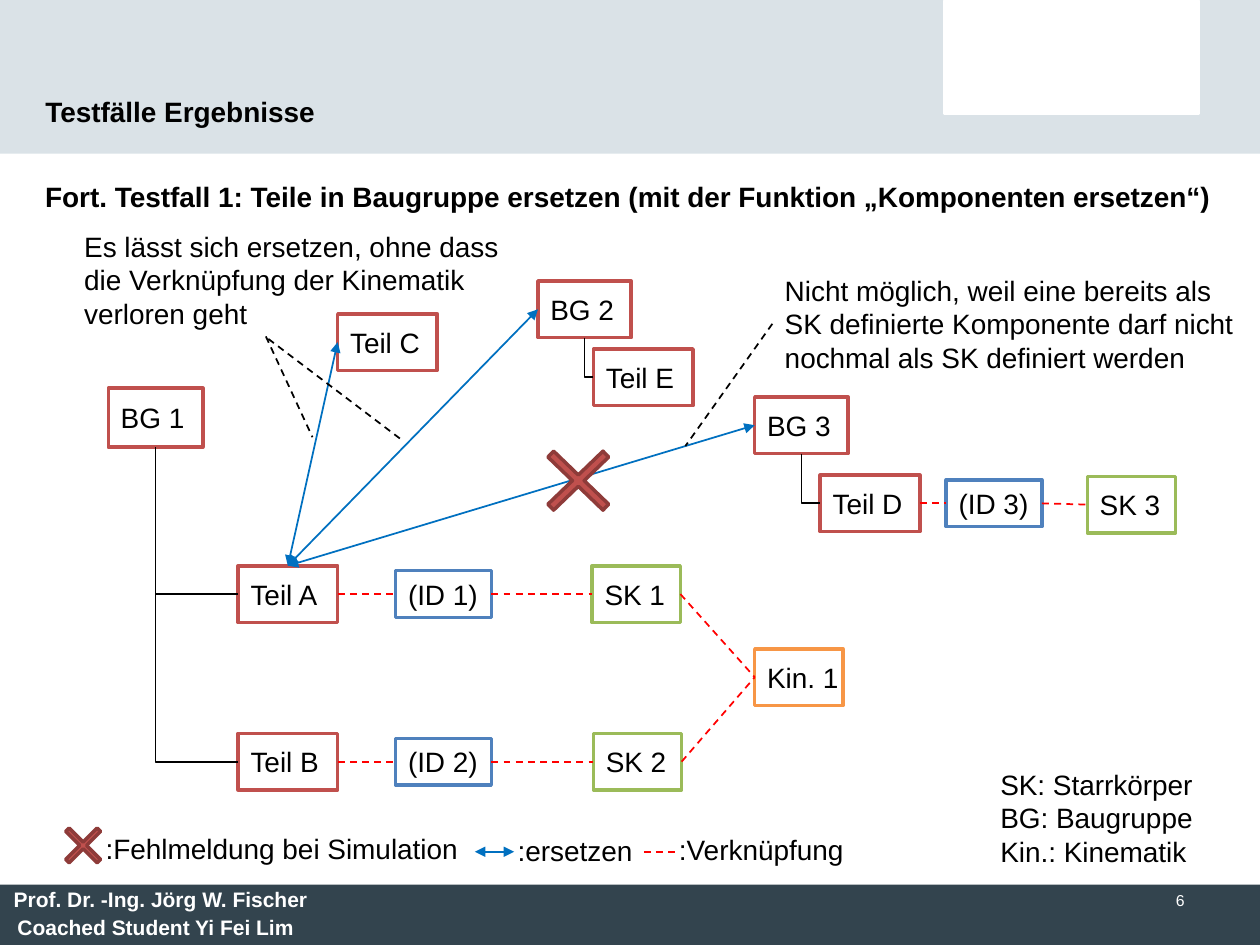
from lxml import etree
from pptx import Presentation
from pptx.dml.color import RGBColor
from pptx.enum.dml import MSO_LINE
from pptx.enum.shapes import MSO_CONNECTOR, MSO_SHAPE
from pptx.enum.text import MSO_ANCHOR, PP_ALIGN
from pptx.oxml.ns import qn
from pptx.util import Inches, Pt

RECTANGLE, CROSS = MSO_SHAPE.RECTANGLE, MSO_SHAPE.MATH_MULTIPLY
STRAIGHT, ELBOW = MSO_CONNECTOR.STRAIGHT, MSO_CONNECTOR.ELBOW
DASH = MSO_LINE.DASH
LEFT, RIGHT = PP_ALIGN.LEFT, PP_ALIGN.RIGHT
TOP_ANCHOR, MIDDLE, BOTTOM_ANCHOR = MSO_ANCHOR.TOP, MSO_ANCHOR.MIDDLE, MSO_ANCHOR.BOTTOM
TOP_SIDE, LEFT_SIDE, BOTTOM_SIDE, RIGHT_SIDE = range(4)

BLACK = RGBColor(0x00, 0x00, 0x00)
WHITE = RGBColor(0xFF, 0xFF, 0xFF)
HEADER = RGBColor(0xDA, 0xE2, 0xE7)
FOOTER = RGBColor(0x33, 0x44, 0x4E)
RED = RGBColor(0xC0, 0x50, 0x4D)
DARK_RED = RGBColor(0x8E, 0x3B, 0x39)
BLUE = RGBColor(0x4F, 0x81, 0xBD)
GREEN = RGBColor(0x9B, 0xBB, 0x59)
ORANGE = RGBColor(0xF7, 0x96, 0x46)
LINK_RED = RGBColor(0xFF, 0x00, 0x00)
ARROW_BLUE = RGBColor(0x00, 0x70, 0xC0)

# Node kinds: width, height, outline colour
ROW_HEIGHT = 0.45
ROOT = (0.75, 0.47, RED)
ASSEMBLY = (0.74, ROW_HEIGHT, RED)
PART = (0.79, ROW_HEIGHT, RED)
IDENTIFIER = (0.76, 0.37, BLUE)
BODY = (0.7, ROW_HEIGHT, GREEN)
KINEMATICS = (0.7, ROW_HEIGHT, ORANGE)

# Rows (top edge) and columns (left edge) of the diagram
ROW_A, ROW_B, ROW_D = 4.49, 5.82, 3.77
COLUMN_PART, COLUMN_ID, COLUMN_BODY, COLUMN_RIGHT = 1.89, 3.14, 4.7, 5.99
NODES = [
    ("BG 1", ROOT, 0.86, 3.09),
    ("Teil A", PART, COLUMN_PART, ROW_A),
    ("Teil B", PART, COLUMN_PART, ROW_B),
    ("(ID 1)", IDENTIFIER, COLUMN_ID, ROW_A),
    ("(ID 2)", IDENTIFIER, COLUMN_ID, ROW_B),
    ("SK 1", BODY, COLUMN_BODY, ROW_A),
    ("SK 2", BODY, COLUMN_BODY + 0.01, ROW_B),
    ("Teil C", PART, 2.68, 2.49),
    ("BG 2", ASSEMBLY, 4.27, 2.23),
    ("Teil E", PART, 4.71, 2.77),
    ("Kin. 1", KINEMATICS, COLUMN_RIGHT, 5.15),
    ("BG 3", ASSEMBLY, COLUMN_RIGHT, 3.15),
    ("Teil D", PART, 6.51, ROW_D),
    ("(ID 3)", IDENTIFIER, 7.51, ROW_D),
    ("SK 3", BODY, 8.63, ROW_D + 0.01),
]
TREE = [("BG 1", "Teil A"), ("BG 1", "Teil B"), ("BG 2", "Teil E"), ("BG 3", "Teil D")]
CHAINS = [
    ("Teil A", "(ID 1)", "SK 1", "Kin. 1"),
    ("Teil B", "(ID 2)", "SK 2", "Kin. 1"),
    ("Teil D", "(ID 3)", "SK 3"),
]
REPLACEMENTS = ["Teil C", "BG 2", "BG 3"]
POINTERS = [(2.11, 2.67, 2.48, 3.47), (2.13, 2.69, 3.2, 3.5), (6.13, 2.57, 5.44, 3.54)]
# Text, left, top, width, height, wraps
LABELS = [
    (":Fehlmeldung bei Simulation", 0.74, 6.55, 3.03, 0.37, False),
    (":ersetzen", 4.01, 6.57, 1.13, 0.37, False),
    (":Verknüpfung", 5.29, 6.56, 1.52, 0.37, False),
    ("SK: Starrkörper\vBG: Baugruppe\vKin.: Kinematik", 7.84, 6.04, 1.75, 0.91, False),
    ("Nicht möglich, weil eine bereits als SK definierte Komponente darf nicht "
     "nochmal als SK definiert werden", 6.13, 2.12, 3.87, 0.91, True),
    ("Es lässt sich ersetzen, ohne dass die Verknüpfung der Kinematik verloren geht",
     0.57, 1.77, 3.66, 0.91, True),
]


def inches(*lengths):
    return [Inches(length) for length in lengths]


def write(shape, text, size=16, color=BLACK, bold=False, wrap=False,
          anchor=TOP_ANCHOR, align=LEFT):
    frame = shape.text_frame
    frame.text = text
    frame.word_wrap = wrap
    frame.vertical_anchor = anchor
    for para in frame.paragraphs:
        para.alignment = align
        for span in para.runs:
            span.font.name = "Arial"
            span.font.size = Pt(size)
            span.font.bold = bold
            span.font.color.rgb = color


def add_label(page, text, left, top, width, height, **style):
    box = page.shapes.add_textbox(*inches(left, top, width, height))
    write(box, text, **style)


def add_block(page, preset, left, top, width, height, fill, outline=None):
    shape = page.shapes.add_shape(preset, *inches(left, top, width, height))
    shape.shadow.inherit = False
    shape.fill.solid()
    shape.fill.fore_color.rgb = fill
    if outline is None:
        shape.line.fill.background()
    else:
        shape.line.color.rgb = outline
        shape.line.width = Pt(2)
    return shape


def add_node(page, text, kind, left, row_top):
    width, height, outline = kind
    top = row_top + (ROW_HEIGHT - height) / 2
    box = add_block(page, RECTANGLE, left, top, width, height, WHITE, outline)
    write(box, text, anchor=MIDDLE)
    return box


def add_cross(page, left, top, width, height):
    cross = add_block(page, CROSS, left, top, width, height, RED, DARK_RED)
    cross.adjustments[0] = 0.08


def add_line(page, color, ends=(0, 0, 0, 0), kind=STRAIGHT, dash=False, arrows=False):
    line = page.shapes.add_connector(kind, *inches(*ends))
    line.line.color.rgb = color
    line.line.width = Pt(1)
    if dash:
        line.line.dash_style = DASH
    if arrows:
        outline = line.line._get_or_add_ln()
        for end in ("a:headEnd", "a:tailEnd"):
            etree.SubElement(outline, qn(end), type="triangle")
    etree.SubElement(line._element.spPr, qn("a:effectLst"))
    return line


def join(line, start, start_side, finish, finish_side):
    line.begin_connect(start, start_side)
    line.end_connect(finish, finish_side)


def add_branch(page, parent, child):
    """One-bend line from the parent's bottom to the child's left side."""
    line = add_line(page, BLACK, kind=ELBOW)
    join(line, parent, BOTTOM_SIDE, child, LEFT_SIDE)
    left, top, across, down = line.left, line.top, line.width, line.height
    line.left, line.top = left + (across - down) // 2, top + (down - across) // 2
    line.width, line.height = down, across
    properties = line._element.spPr
    properties.find(qn("a:prstGeom")).set("prst", "bentConnector2")
    frame = properties.find(qn("a:xfrm"))
    frame.set("rot", str(270 * 60000))
    frame.set("flipH", "1")


def add_frame(page):
    # Header and footer bands
    add_block(page, RECTANGLE, 0, 0, 10, 1.22, HEADER)
    add_block(page, RECTANGLE, 7.5, 0.01, 2.01, 0.89, WHITE, WHITE)
    add_block(page, RECTANGLE, 0, 7.02, 10, 0.48, FOOTER)
    add_label(page, "Prof. Dr. -Ing. Jörg W. Fischer", 0.01, 6.99, 2.68, 0.3,
              size=12, color=WHITE, bold=True)
    add_label(page, "Coached Student Yi Fei Lim", 0.04, 7.21, 2.45, 0.3,
              size=12, color=WHITE, bold=True)
    add_label(page, "6", 7.17, 7.02, 2.33, 0.25, size=9, color=WHITE, wrap=True, align=RIGHT)
    # Title, raised above the header band
    title = page.shapes.title
    title.left, title.top, title.width, title.height = inches(0.26, 0.44, 6.07, 0.63)
    write(title, "Testfälle Ergebnisse", bold=True, wrap=True, anchor=BOTTOM_ANCHOR)
    page.shapes._spTree.append(title._element)
    add_label(page, "Fort. Testfall 1: Teile in Baugruppe ersetzen "
              "(mit der Funktion „Komponenten ersetzen“)", 0.26, 1.38, 9.58, 0.37, bold=True)


def add_diagram(page):
    nodes = {node[0]: add_node(page, *node) for node in NODES}
    for parent, child in TREE:
        add_branch(page, nodes[parent], nodes[child])
    for chain in CHAINS:
        for start, finish in zip(chain, chain[1:]):
            line = add_line(page, LINK_RED, dash=True)
            join(line, nodes[start], RIGHT_SIDE, nodes[finish], LEFT_SIDE)
    for name in REPLACEMENTS:
        line = add_line(page, ARROW_BLUE, arrows=True)
        join(line, nodes[name], LEFT_SIDE, nodes["Teil A"], TOP_SIDE)
    add_cross(page, 4.17, 3.41, 0.84, 0.81)


def add_notes_and_legend(page):
    add_cross(page, 0.42, 6.47, 0.48, 0.48)
    add_line(page, ARROW_BLUE, (4.08, 6.76, 3.77, 6.76), arrows=True)
    add_line(page, LINK_RED, (5.11, 6.76, 5.39, 6.76), dash=True)
    for *label, wrap in LABELS:
        add_label(page, *label, wrap=wrap)
    for ends in POINTERS:
        add_line(page, BLACK, ends, dash=True)


def main():
    deck = Presentation()
    deck.slide_width, deck.slide_height = inches(10, 7.5)
    page = deck.slides.add_slide(deck.slide_layouts[5])
    add_frame(page)
    add_diagram(page)
    add_notes_and_legend(page)
    deck.save("out.pptx")


if __name__ == "__main__":
    main()
